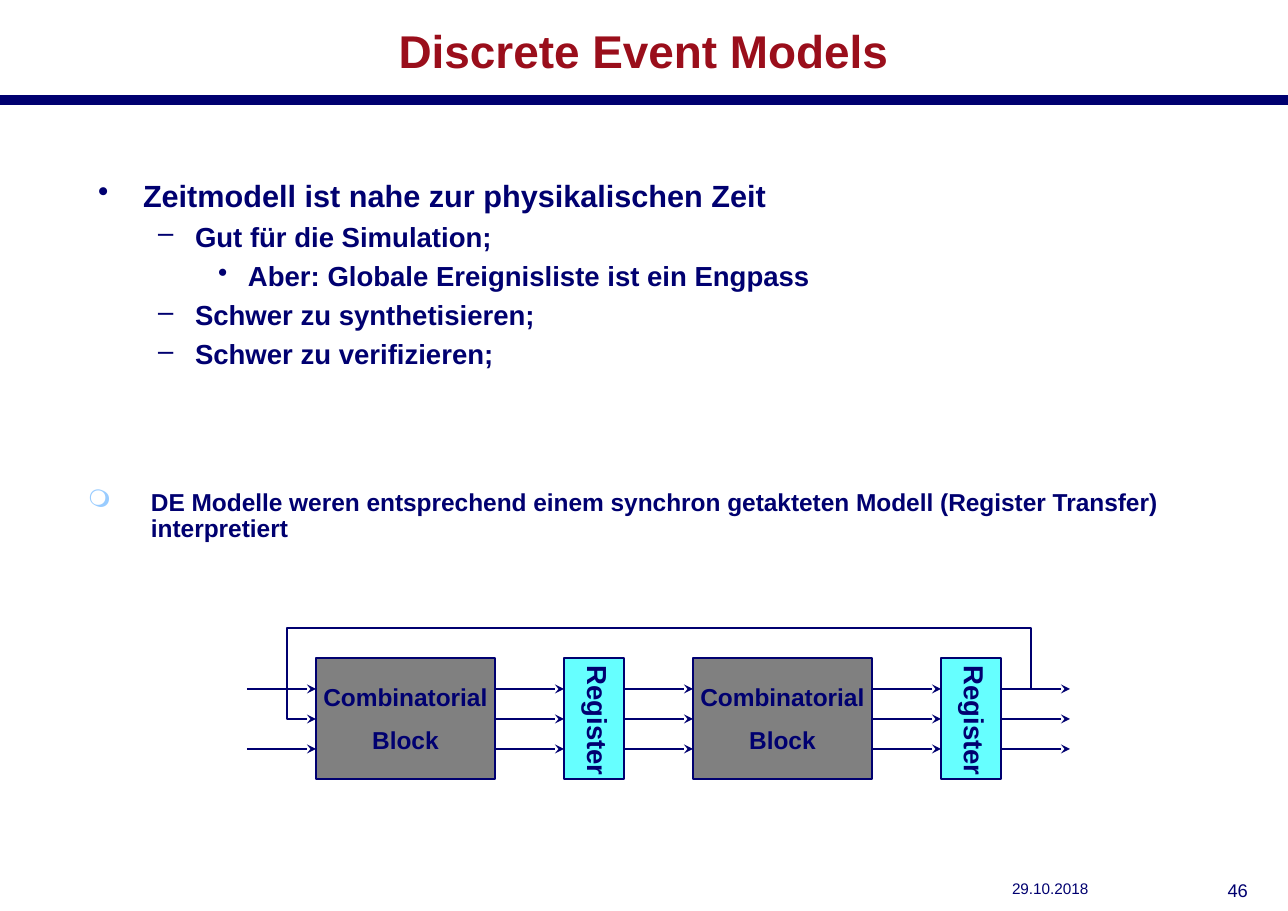
import pptx
import pptx.dml.color
import pptx.enum.shapes
import pptx.enum.text
import pptx.oxml
import pptx.oxml.ns
import pptx.util

RGBColor = pptx.dml.color.RGBColor
Pt = pptx.util.Pt
ALIGN = pptx.enum.text.PP_ALIGN
ANCHOR = pptx.enum.text.MSO_ANCHOR
NAVY = RGBColor(0x00, 0x00, 0x70)
RED = RGBColor(0x9A, 0x0E, 0x1B)
GRAY = RGBColor(0x80, 0x80, 0x80)
CYAN = RGBColor(0x66, 0xFF, 0xFF)
PALE_BLUE = RGBColor(0x99, 0xCC, 0xFF)
PX = 914400 / 110.2


def px(length):
    return round(length * PX)


def write(shape, rows, margins, anchor=ANCHOR.TOP, wrap=True, align=ALIGN.LEFT,
          color=NAVY, bold=True):
    """Fill a shape with rows of (text, size, format values)."""
    frame = shape.text_frame
    across, down = map(px, margins)
    layout = {"margin_left": across, "margin_right": across, "margin_top": down,
              "margin_bottom": down, "vertical_anchor": anchor, "word_wrap": wrap}
    for name, value in layout.items():
        setattr(frame, name, value)
    for index, (text, size, extra) in enumerate(rows):
        para = frame.add_paragraph() if index else frame.paragraphs[0]
        para.alignment = align
        if index:
            para.space_before = Pt(extra.get("before", 0))
        if "bullet" in extra:
            props = para._p.get_or_add_pPr()
            props.set("marL", str(px(extra["indent"])))
            props.set("indent", str(-px(extra["hang"])))
            namespace = pptx.oxml.ns.nsdecls("a")
            props.append(pptx.oxml.parse_xml(
                f'<a:buClr {namespace}><a:srgbClr val="{extra.get("tint", NAVY)}"/></a:buClr>'))
            props.append(pptx.oxml.parse_xml(
                f'<a:buChar {namespace} char="{extra["bullet"]}"/>'))
        if "spacing" in extra:
            para.line_spacing = extra["spacing"]
        span = para.add_run()
        span.text = text
        for name, value in {"name": "Arial", "size": Pt(size), "bold": bold}.items():
            setattr(span.font, name, value)
        span.font.color.rgb = color


deck = pptx.Presentation()
deck.slide_width, deck.slide_height = px(1288), px(911)
page = deck.slides.add_slide(deck.slide_layouts[6])
shapes = page.shapes

# Title, bullets and footer
WIDE = (12, 6)
title = shapes.add_textbox(px(28), px(13), px(1231), px(75))
write(title, [("Discrete Event Models", 30, {})], WIDE, ANCHOR.MIDDLE,
      align=ALIGN.CENTER, color=RED)

main_point = {"bullet": "•", "indent": 45, "hang": 45}
sub_point = {"bullet": "–", "indent": 97, "hang": 37, "before": 4}
detail = {"bullet": "•", "indent": 150, "hang": 30, "before": 4}
bullets = shapes.add_textbox(px(86), px(171), px(1143), px(306))
write(bullets, [
    ("Zeitmodell ist nahe zur physikalischen Zeit", 20, main_point),
    ("Gut für die Simulation;", 18, sub_point),
    ("Aber: Globale Ereignisliste ist ein Engpass", 18, detail),
    ("Schwer zu synthetisieren;", 18, sub_point),
    ("Schwer zu verifizieren;", 18, sub_point),
], WIDE)

remark = shapes.add_textbox(px(79), px(486), px(1143), px(121))
write(remark, [(
    "DE Modelle weren entsprechend einem synchron getakteten Modell "
    "(Register Transfer) interpretiert", 16,
    {"bullet": "❍", "tint": PALE_BLUE, "indent": 63, "hang": 63, "spacing": 0.9})], (9, 4))

date = shapes.add_textbox(px(1000), px(873), px(182), px(38))
write(date, [("29.10.2018", 10, {})], WIDE, bold=False)
number = shapes.add_textbox(px(1199), px(873), px(61), px(38))
write(number, [("46", 12, {})], WIDE, align=ALIGN.RIGHT, bold=False)

# Register transfer pipeline: block, register, block, register
TOP, HEIGHT, GAP = 658, 121, 69
BLOCK, REGISTER = 179, 60
FIRST = 316
SIGNALS = [689, 719, 749]
lines = [((0, 100), (1288, 100), 7.09, False)]
lines += [((FIRST - GAP, y), (FIRST, y), 1.5, True) for y in SIGNALS[::2]]

left = FIRST
for width, fill in [(BLOCK, GRAY), (REGISTER, CYAN)] * 2:
    box = shapes.add_shape(pptx.enum.shapes.MSO_SHAPE.RECTANGLE,
                           px(left), px(TOP), px(width), px(HEIGHT))
    box.shadow.inherit = False
    box.fill.solid()
    box.fill.fore_color.rgb = fill
    box.line.color.rgb = NAVY
    box.line.width = Pt(1.5)
    if fill == GRAY:
        write(box, [("Combinatorial", 16, {}), ("Block", 16, {"before": 9})],
              WIDE, ANCHOR.MIDDLE, wrap=False, align=ALIGN.CENTER)
    else:
        label = shapes.add_textbox(px(left - 32), px(699), px(133), px(44))
        label.rotation = 90
        write(label, [("Register", 18, {})], (11, 6), wrap=False)
    left += width
    lines += [((left, y), (left + GAP, y), 1.5, True) for y in SIGNALS]
    left += GAP

# Feedback from the last register to the first block
tap = left - GAP + 30
outline = shapes.build_freeform(px(tap), px(SIGNALS[0]), scale=1.0)
corners = [(tap, 628), (287, 628), (287, SIGNALS[1]), (FIRST, SIGNALS[1])]
outline.add_line_segments([(px(x), px(y)) for x, y in corners], close=False)
feedback = outline.convert_to_shape()
feedback.shadow.inherit = False
feedback.fill.background()

strokes = [(feedback, 1.5, True)]
for start, end, weight, arrow in lines:
    stroke = shapes.add_connector(pptx.enum.shapes.MSO_CONNECTOR.STRAIGHT,
                                  *map(px, start + end))
    stroke._element.spPr.append(
        pptx.oxml.parse_xml(f'<a:effectLst {pptx.oxml.ns.nsdecls("a")}/>'))
    strokes.append((stroke, weight, arrow))

for stroke, weight, arrow in strokes:
    stroke.line.color.rgb = NAVY
    stroke.line.width = Pt(weight)
    if arrow:
        stroke.line._get_or_add_ln().append(pptx.oxml.parse_xml(
            f'<a:tailEnd {pptx.oxml.ns.nsdecls("a")} type="stealth"/>'))

deck.save("out.pptx")
